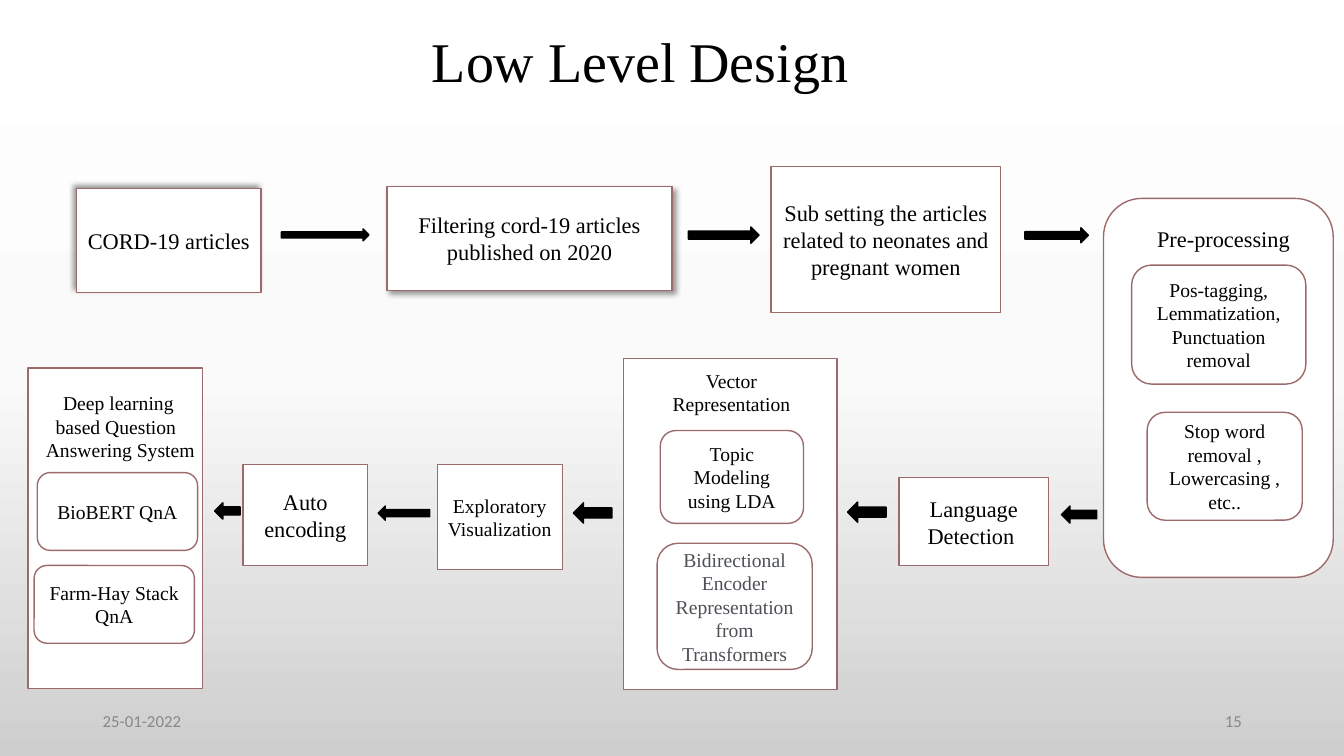
from copy import deepcopy

from lxml.etree import SubElement
from pptx import Presentation
from pptx.dml.color import RGBColor
from pptx.enum.shapes import MSO_SHAPE as Shape
from pptx.enum.text import MSO_ANCHOR as Anchor, PP_ALIGN as Align
from pptx.oxml.ns import qn
from pptx.util import Cm, Pt


def colour(value):
    return RGBColor.from_string(value)


class Diagram:
    font = "Times New Roman"
    ink = "000000"
    paper = "FFFFFF"
    outline = "9C6A6A"

    def __init__(self, page):
        self.page = page

    def background(self, start, middle, end):
        fill = self.page.background.fill
        fill.gradient()
        fill.gradient_angle = 270
        first, last = fill.gradient_stops
        first.color.rgb = colour(middle)
        stops = next(self.page.element.iter(qn("a:gsLst")))
        centre = deepcopy(stops[0])
        centre.set("pos", "50000")
        stops.insert(1, centre)
        first.color.rgb = colour(start)
        last.color.rgb = colour(end)

    def add_text(self, shape, lines, size, ink=None, font=None,
                 align=Align.CENTER, anchor=Anchor.MIDDLE):
        frame = shape.text_frame
        frame.word_wrap = True
        frame.vertical_anchor = anchor
        for number, line in enumerate(lines):
            para = frame.add_paragraph() if number else frame.paragraphs[0]
            para.alignment = align
            span = para.add_run()
            span.text = line
            span.font.size = Pt(size)
            span.font.name = font or self.font
            span.font.color.rgb = colour(ink or self.ink)

    def title(self, text, *place):
        box = self.page.shapes.title
        box.left, box.top, box.width, box.height = map(Cm, place)
        self.add_text(box, [text], 40)
        box.text_frame.paragraphs[0].line_spacing = 0.9

    def label(self, place, lines, size=14, **style):
        box = self.page.shapes.add_textbox(*map(Cm, place))
        self.add_text(box, lines, size, **style)

    def shape(self, kind, place, fill, line):
        shape = self.page.shapes.add_shape(kind, *map(Cm, place))
        shape.shadow.inherit = False
        shape.fill.solid()
        shape.fill.fore_color.rgb = colour(fill)
        shape.line.color.rgb = colour(line)
        shape.line.width = Pt(1)
        return shape

    def box(self, place, lines=(), size=14, kind=Shape.RECTANGLE, ink=None):
        shape = self.shape(kind, place, self.paper, self.outline)
        self.add_text(shape, lines, size, ink)
        return shape

    def rounded(self, place, lines=(), ink=None):
        return self.box(place, lines, kind=Shape.ROUNDED_RECTANGLE, ink=ink)

    def shade(self, shape, angle):
        effects = shape.element.spPr.find(qn("a:effectLst"))
        shadow = SubElement(effects, qn("a:outerShdw"), blurRad=str(Pt(4)),
                            dist=str(Pt(3)), dir=str(angle * 60000))
        tint = SubElement(shadow, qn("a:srgbClr"), val=self.ink)
        SubElement(tint, qn("a:alpha"), val="40000")

    def arrow(self, place, rotation):
        arrow = self.shape(Shape.RIGHT_ARROW, place, self.ink, self.ink)
        arrow.rotation = rotation


def main():
    deck = Presentation()
    deck.slide_width, deck.slide_height = Cm(33.87), Cm(19.05)
    diagram = Diagram(deck.slides.add_slide(deck.slide_layouts[5]))
    diagram.background("FFFFFF", "FAFAFA", "CECECE")
    diagram.title("Low Level Design", 0.71, -0.23, 30.84, 3.68)

    for left, text, align in [(2.34, "25-01-2022", Align.LEFT),
                              (23.93, "15", Align.RIGHT)]:
        diagram.label((left, 17.65, 7.62, 1.02), [text], 12, ink="888888",
                      font="Calibri", align=align, anchor=Anchor.MIDDLE)

    articles = diagram.box((1.93, 4.75, 4.65, 2.62), ["CORD-19 articles"], 16)
    diagram.shade(articles, 225)
    filtering = diagram.box((9.75, 4.7, 7.19, 2.62),
                            ["Filtering cord-19 articles published on 2020"], 16)
    diagram.shade(filtering, 45)

    for place, text, size in [
        ((19.43, 4.19, 5.79, 3.68),
         "Sub setting the articles related to neonates and pregnant women", 16),
        ((22.66, 12.04, 3.76, 2.21), "Language Detection ", 16),
        ((11.02, 11.71, 3.15, 2.64), "Exploratory Visualization", 14),
        ((6.12, 11.71, 3.15, 2.54), "Auto encoding", 16),
    ]:
        diagram.box(place, [text], size)

    diagram.rounded((27.81, 5, 5.79, 9.55))
    diagram.label((28.91, 5.56, 4.29, 0.94), ["Pre-processing"], 16,
                  align=Align.LEFT, anchor=Anchor.TOP)
    diagram.rounded((28.52, 6.68, 4.39, 3),
                    ["Pos-tagging,", "Lemmatization,", "Punctuation removal"])
    diagram.rounded((28.91, 10.39, 3.91, 2.72),
                    ["Stop word removal ,", "Lowercasing , etc.."])

    diagram.box((15.72, 9.04, 5.38, 8.33))
    diagram.label((16.15, 9.17, 4.57, 1.45), ["Vector Representation"],
                  anchor=Anchor.TOP)
    diagram.rounded((16.64, 10.85, 3.61, 2.34), ["Topic Modeling using LDA"])
    diagram.rounded((16.56, 13.69, 3.91, 3.18),
                    ["Bidirectional Encoder Representation from Transformers"],
                    ink="4D5156")

    diagram.box((0.71, 9.27, 4.39, 8.08))
    diagram.label((0.79, 9.73, 4.39, 2.06),
                  ["Deep learning based Question ", " Answering System"],
                  anchor=Anchor.TOP)
    diagram.rounded((0.94, 11.91, 4.04, 1.96), ["BioBERT QnA"])
    diagram.rounded((0.86, 14.25, 4.04, 1.96), ["Farm-Hay Stack QnA"])

    rightward = [(7.09, 5.77, 2.21, 0.3), (17.35, 5.72, 1.78, 0.41),
                 (25.83, 5.74, 1.6, 0.38)]
    leftward = [(26.75, 12.75, 0.89, 0.43), (21.36, 12.65, 0.97, 0.51),
                (14.45, 12.67, 0.97, 0.51), (9.53, 12.75, 1.3, 0.36),
                (5.41, 12.67, 0.64, 0.41)]
    for rotation, places in [(0, rightward), (180, leftward)]:
        for place in places:
            diagram.arrow(place, rotation)

    deck.save("out.pptx")


if __name__ == "__main__":
    main()
